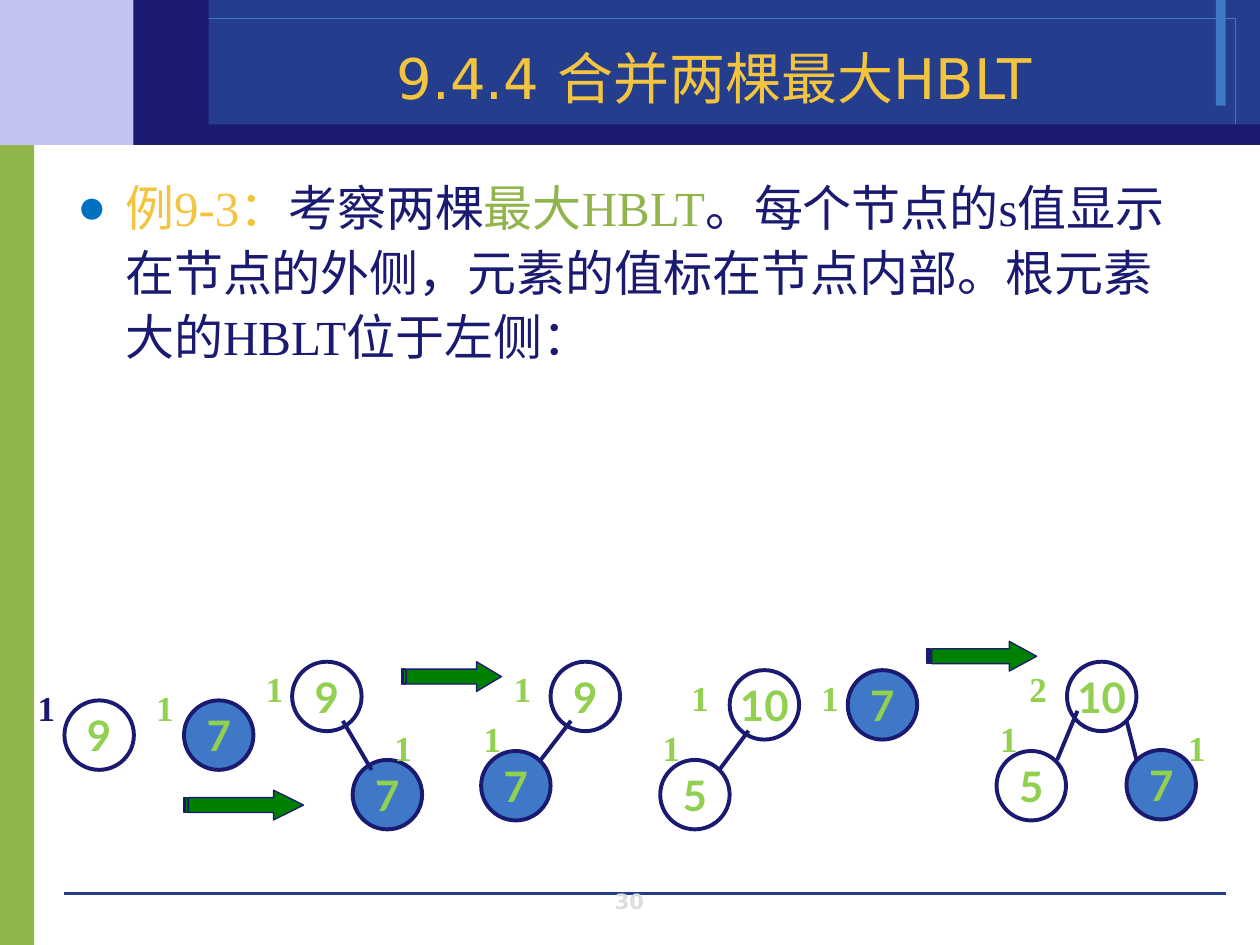
"""Build the slide on merging two max HBLTs."""
from lxml.etree import SubElement
from pptx import Presentation
from pptx.dml.color import RGBColor
from pptx.enum.shapes import MSO_CONNECTOR as CONN, MSO_SHAPE as SHAPE
from pptx.enum.text import MSO_ANCHOR as ANCHOR, MSO_AUTO_SIZE as AUTO, PP_ALIGN as ALIGN
from pptx.oxml.ns import qn
from pptx.util import Cm, Pt

NAVY = RGBColor(0x1A, 0x1A, 0x70)
ROYAL = RGBColor(0x24, 0x3D, 0x8C)
BLUE = RGBColor(0x3E, 0x78, 0xC6)
LILAC = RGBColor(0xC3, 0xC3, 0xF1)
OLIVE = RGBColor(0x90, 0xB5, 0x4D)
LIME = RGBColor(0x92, 0xD0, 0x50)
GREEN = RGBColor(0x00, 0x80, 0x00)
GOLD = RGBColor(0xF3, 0xC4, 0x3F)
GRAY = RGBColor(0xDD, 0xDD, 0xDD)

BANDS = [
    (0, 2.72, 0.69, 16.33, OLIVE, None),
    (0, 0, 3.89, 2.92, LILAC, None),
    (3.89, 0, 21.51, 2.92, ROYAL, None),
    (24.51, 0, 0.2, 2.13, BLUE, None),
    (3.02, 0.38, 21.89, 2.16, None, BLUE),
    (3.3, 2.51, 22.1, 0.41, NAVY, None),
    (2.69, 0, 1.52, 2.92, NAVY, None),
]
NODES = [
    ("9", 1.3, 14.12, None), ("7", 3.71, 14.12, BLUE),
    ("9", 5.89, 13.34, None), ("7", 7.11, 15.32, BLUE),
    ("9", 11.1, 13.34, None), ("7", 9.7, 15.14, BLUE),
    ("10", 14.71, 13.51, None), ("5", 13.31, 15.32, None),
    ("7", 17.09, 13.51, BLUE), ("10", 21.51, 13.34, None),
    ("5", 20.09, 15.14, None), ("7", 22.71, 15.12, BLUE),
]
EDGES = [
    (7.49, 15.52, 6.91, 14.53), (10.9, 15.32, 11.51, 14.53),
    (14.5, 15.52, 15.09, 14.73), (21.31, 15.32, 21.72, 14.33),
    (22.91, 15.32, 22.71, 14.53),
]
S_VALUES = [
    ("1", 0.51, 13.72, NAVY), ("1", 2.9, 13.72, LIME),
    ("1", 5.11, 13.34, LIME), ("1", 7.7, 14.53, LIME),
    ("1", 10.11, 13.34, LIME), ("1", 9.5, 14.33, LIME),
    ("1", 13.69, 13.51, LIME), ("1", 13.11, 14.53, LIME),
    ("1", 16.31, 13.51, LIME), ("2", 20.5, 13.34, LIME),
    ("1", 19.91, 14.33, LIME), ("1", 23.7, 14.53, LIME),
]
ARROWS = [(3.71, 15.93, 2.41), (8.1, 13.34, 2.01), (18.69, 12.93, 2.21)]
BODY = [
    ("例9-3：", GOLD),
    ("考察两棵", NAVY),
    ("最大HBLT", OLIVE),
    ("。每个节点的s值显示在节点的外侧，元素的值标在节点内部。根元素大的HBLT位于左侧：", NAVY),
]


class Deck:
    """Hold the style and the current slide."""

    head_font, text_font, node_font = "DejaVu Sans", "Times New Roman", "Lato"
    node_size, arrow_height = 1.4, 0.6

    def __init__(self):
        self.prs = Presentation()
        self.prs.slide_width, self.prs.slide_height = Cm(25.4), Cm(19.05)
        self.s = self.prs.slides.add_slide(self.prs.slide_layouts[1])

    def style(self, font, name, size, color, bold=False):
        font.name, font.size, font.bold = name, Pt(size), bold
        font.color.rgb = color

    def shape(self, kind, x, y, w, h, fill=None, line=None, width=0):
        sp = self.s.shapes.add_shape(kind, Cm(x), Cm(y), Cm(w), Cm(h))
        sp.shadow.inherit = False
        for part, color in ((sp.fill, fill), (sp.line.fill, line)):
            if color is None:
                part.background()
            else:
                part.solid()
                part.fore_color.rgb = color
        if line is not None:
            sp.line.width = Pt(width)
        return sp

    def line(self, x1, y1, x2, y2, color, width):
        c = self.s.shapes.add_connector(CONN.STRAIGHT, Cm(x1), Cm(y1), Cm(x2), Cm(y2))
        c.line.color.rgb, c.line.width = color, Pt(width)
        SubElement(c.element.spPr, qn("a:effectLst"))

    def label(self, text, x, y, w, h, name, size, color, align=ALIGN.LEFT, anchor=ANCHOR.TOP):
        tf = self.s.shapes.add_textbox(Cm(x), Cm(y), Cm(w), Cm(h)).text_frame
        tf.word_wrap, tf.vertical_anchor = True, anchor
        p = tf.paragraphs[0]
        p.text, p.alignment = text, align
        self.style(p.runs[0].font, name, size, color, True)

    def node(self, text, x, y, fill):
        sp = self.shape(SHAPE.OVAL, x, y, self.node_size, self.node_size, fill, NAVY, 2.25)
        tf = sp.text_frame
        tf.text, tf.word_wrap, tf.vertical_anchor = text, False, ANCHOR.MIDDLE
        p = tf.paragraphs[0]
        p.alignment = ALIGN.CENTER
        self.style(p.runs[0].font, self.node_font, 24, LIME, True)

    def arrow(self, x, y, w):
        sp = self.shape(SHAPE.STRIPED_RIGHT_ARROW, x, y, w, self.arrow_height, GREEN, NAVY, 0.75)
        sp.adjustments[0] = 0.5
        sp.adjustments[1] = 0.25 * w / self.arrow_height

    def placeholder(self, sp, x, y, w, h, anchor):
        sp.left, sp.top, sp.width, sp.height = Cm(x), Cm(y), Cm(w), Cm(h)
        self.s.shapes.element.append(sp.element)
        tf = sp.text_frame
        tf.word_wrap, tf.auto_size, tf.vertical_anchor = True, AUTO.NONE, anchor
        return tf

    def title(self, text):
        tf = self.placeholder(self.s.shapes.title, 3.51, 0, 21.79, 2.36, ANCHOR.BOTTOM)
        tf.text = text
        p = tf.paragraphs[0]
        p.alignment = ALIGN.CENTER
        self.style(p.runs[0].font, self.head_font, 32, GOLD)

    def body(self, parts):
        tf = self.placeholder(self.s.placeholders[1], 1.3, 3.33, 22.71, 7.47, ANCHOR.TOP)
        p = tf.paragraphs[0]
        p.line_spacing, p.space_before = 1.1, Pt(0)
        pPr = p._p.get_or_add_pPr()
        pPr.set("marL", str(Cm(0.97)))
        pPr.set("indent", str(-Cm(0.97)))
        SubElement(SubElement(pPr, qn("a:buClr")), qn("a:srgbClr"), val="0070C0")
        SubElement(pPr, qn("a:buChar"), char="●")
        for text, color in parts:
            r = p.add_run()
            r.text = text
            self.style(r.font, self.text_font, 28, color)


def main():
    deck = Deck()
    for x, y, w, h, fill, line in BANDS:
        deck.shape(SHAPE.RECTANGLE, x, y, w, h, fill, line)
    deck.line(1.3, 18.01, 24.71, 18.01, ROYAL, 0)
    deck.label("30", 9.73, 17.91, 5.92, 0.64, deck.head_font, 12, GRAY, ALIGN.CENTER, ANCHOR.BOTTOM)
    deck.title("9.4.4 合并两棵最大HBLT")
    deck.body(BODY)
    for node in NODES:
        deck.node(*node)
    for edge in EDGES:
        deck.line(*edge, NAVY, 2.25)
    for text, x, y, color in S_VALUES:
        deck.label(text, x, y, 0.99, 1.09, deck.text_font, 20, color)
    for arrow in ARROWS:
        deck.arrow(*arrow)
    deck.prs.save("out.pptx")


if __name__ == "__main__":
    main()
